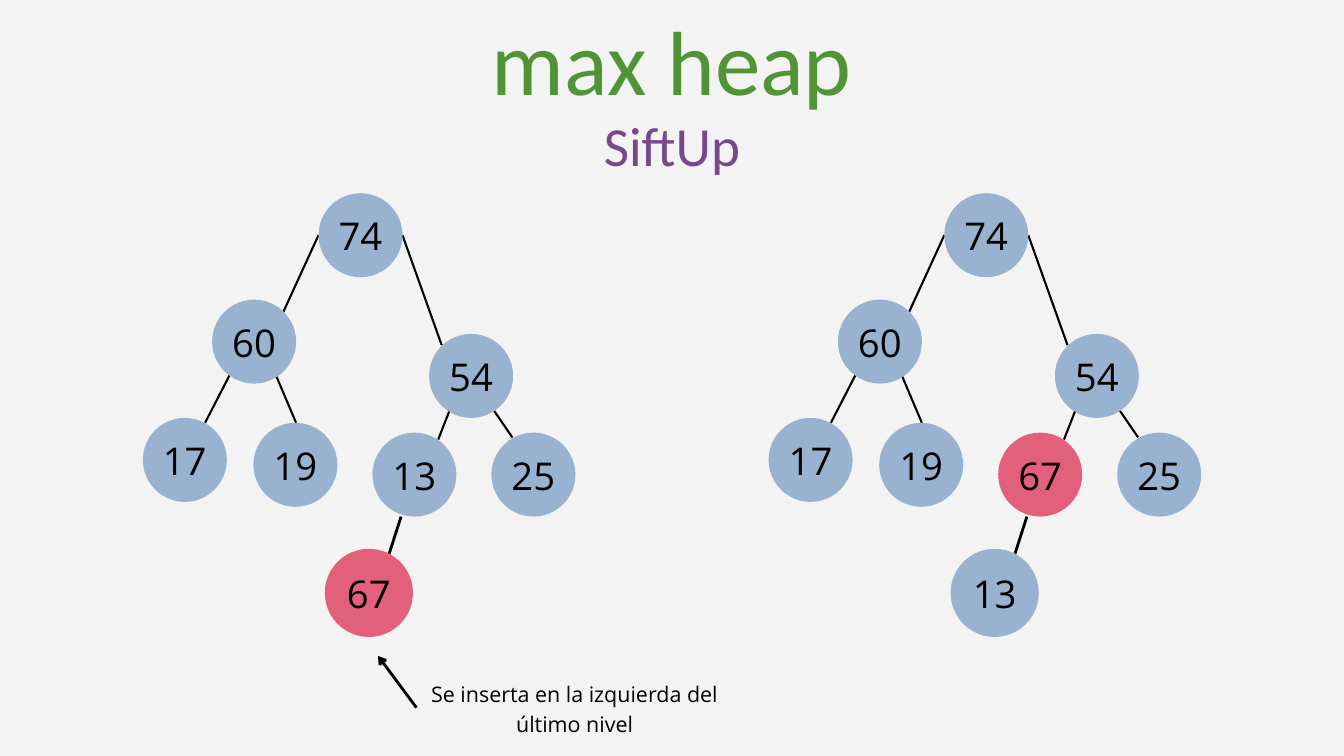
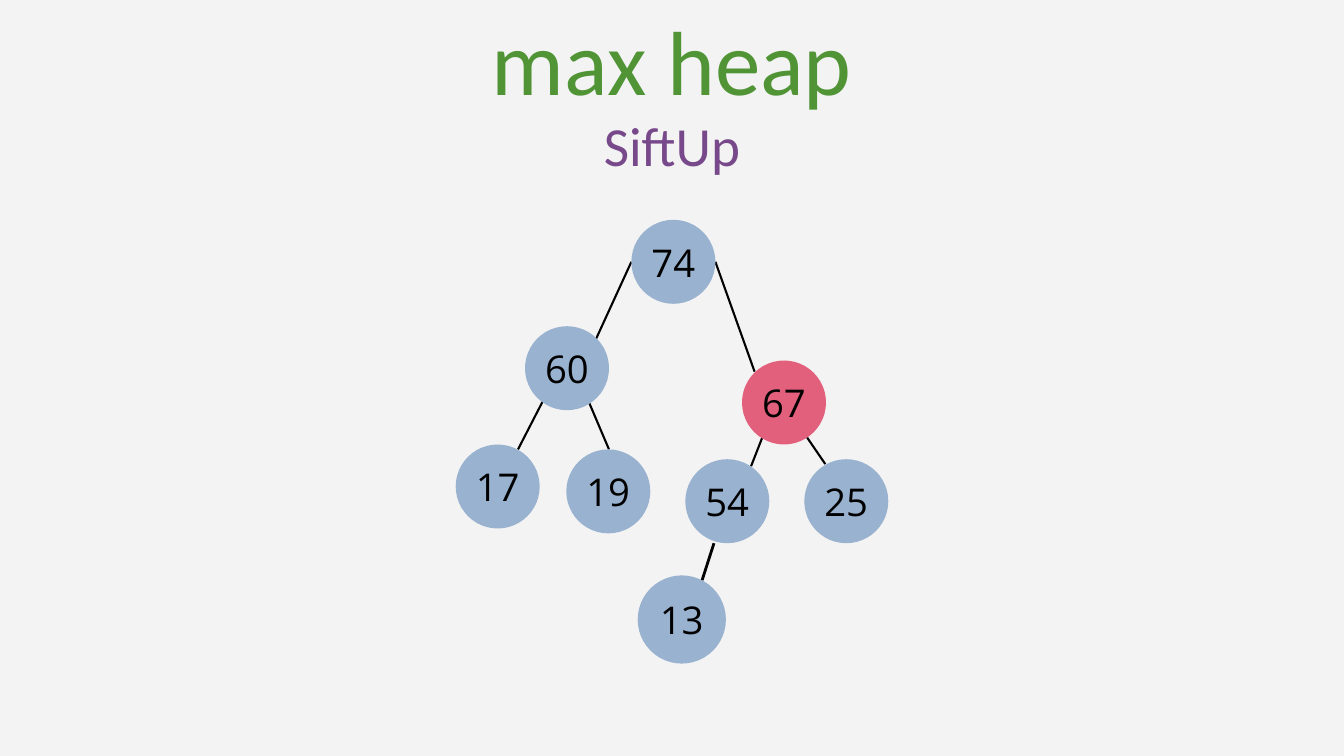
from lxml import etree
from pptx import Presentation
from pptx.dml.color import RGBColor
from pptx.enum.shapes import MSO_CONNECTOR, MSO_SHAPE
from pptx.enum.text import MSO_ANCHOR, PP_ALIGN
from pptx.oxml.ns import qn
from pptx.util import Emu, Pt

PX = 9525
GRAY, BLACK, GREEN, PURPLE = "F3F3F3", "000000", "509436", "78498A"
BLUE, PINK = "99B2CF", "E2607C"
HEADING_FONT, BODY_FONT = "Calibri", "Open Sans"
INSERTED = "67"

HEADINGS = [
    ("max heap", (41, -20, 1838, 175), 97.5, 136.4, GREEN),
    ("SiftUp", (822, 143, 276, 106), 59.1, 82.7, PURPLE),
]
CAPTION = ("Se inserta en la izquierda del último nivel", (595, 967, 452, 83), 23, 32.2, BLACK)
CAPTION_ARROW = (595, 1011, 540, 937)

NODE_PLACES = [
    (251, 0, 120),
    (99, 152, 120),
    (409, 201, 120),
    (0, 321, 120),
    (158, 328, 120),
    (328, 342, 120),
    (498, 342, 120),
    (260, 508, 126),
]
EDGES = [
    (196, 180, 251, 60, 2.25),
    (427, 217, 371, 60, 2.25),
    (89, 328, 124, 260, 2.25),
    (191, 262, 219, 328, 2.25),
    (422, 352, 438, 311, 2.25),
    (528, 349, 502, 311, 2.25),
    (369, 462, 352, 515, 3),
]
SLIDES = [
    {
        "trees": [
            ((204, 276), ["74", "60", "54", "17", "19", "13", "25", "67"]),
            ((1098, 276), ["74", "60", "54", "17", "19", "67", "25", "13"]),
        ],
        "caption": True,
    },
    {
        "trees": [((651, 314), ["74", "60", "67", "17", "19", "54", "25", "13"])],
        "caption": False,
    },
]


def px(*lengths):
    return [Emu(length * PX) for length in lengths]


def color(value):
    return RGBColor.from_string(value)


def write(shape, text, size, spacing, ink, font):
    frame = shape.text_frame
    frame.text = text
    frame.word_wrap = True
    frame.margin_left = frame.margin_right = frame.margin_top = frame.margin_bottom = 0
    para = frame.paragraphs[0]
    para.alignment = PP_ALIGN.CENTER
    para.line_spacing = Pt(spacing)
    span = para.runs[0]
    span.font.name = font
    span.font.size = Pt(size)
    span.font.color.rgb = color(ink)


def add_text(page, text, place, size, spacing, ink, font):
    box = page.shapes.add_textbox(*px(*place))
    write(box, text, size, spacing, ink, font)


def add_line(page, ends, width, arrow=False):
    line = page.shapes.add_connector(MSO_CONNECTOR.STRAIGHT, *px(*ends))
    line.line.color.rgb = color(BLACK)
    line.line.width = Pt(width)
    if arrow:
        etree.SubElement(line.line._get_or_add_ln(), qn("a:tailEnd"), type="arrow")
    etree.SubElement(line._element.spPr, qn("a:effectLst"))


def add_node(page, key, left, top, size):
    node = page.shapes.add_shape(MSO_SHAPE.OVAL, *px(left, top, size, size))
    node.shadow.inherit = False
    node.fill.solid()
    node.fill.fore_color.rgb = color(PINK if key == INSERTED else BLUE)
    node.line.fill.background()
    write(node, key, 41, 49.4, BLACK, BODY_FONT)
    node.text_frame.vertical_anchor = MSO_ANCHOR.MIDDLE


def add_tree(page, origin, keys):
    x, y = origin
    for x1, y1, x2, y2, width in EDGES:
        add_line(page, (x + x1, y + y1, x + x2, y + y2), width)
    for key, (left, top, size) in zip(keys, NODE_PLACES):
        add_node(page, key, x + left, y + top, size)


def add_page(deck, content):
    page = deck.slides.add_slide(deck.slide_layouts[6])
    page.background.fill.solid()
    page.background.fill.fore_color.rgb = color(GRAY)
    for heading in HEADINGS:
        add_text(page, *heading, HEADING_FONT)
    for origin, keys in content["trees"]:
        add_tree(page, origin, keys)
    if content["caption"]:
        add_text(page, *CAPTION, BODY_FONT)
        add_line(page, CAPTION_ARROW, 3, arrow=True)


def main():
    deck = Presentation()
    deck.slide_width, deck.slide_height = px(1920, 1080)
    for content in SLIDES:
        add_page(deck, content)
    deck.save("out.pptx")


if __name__ == "__main__":
    main()
